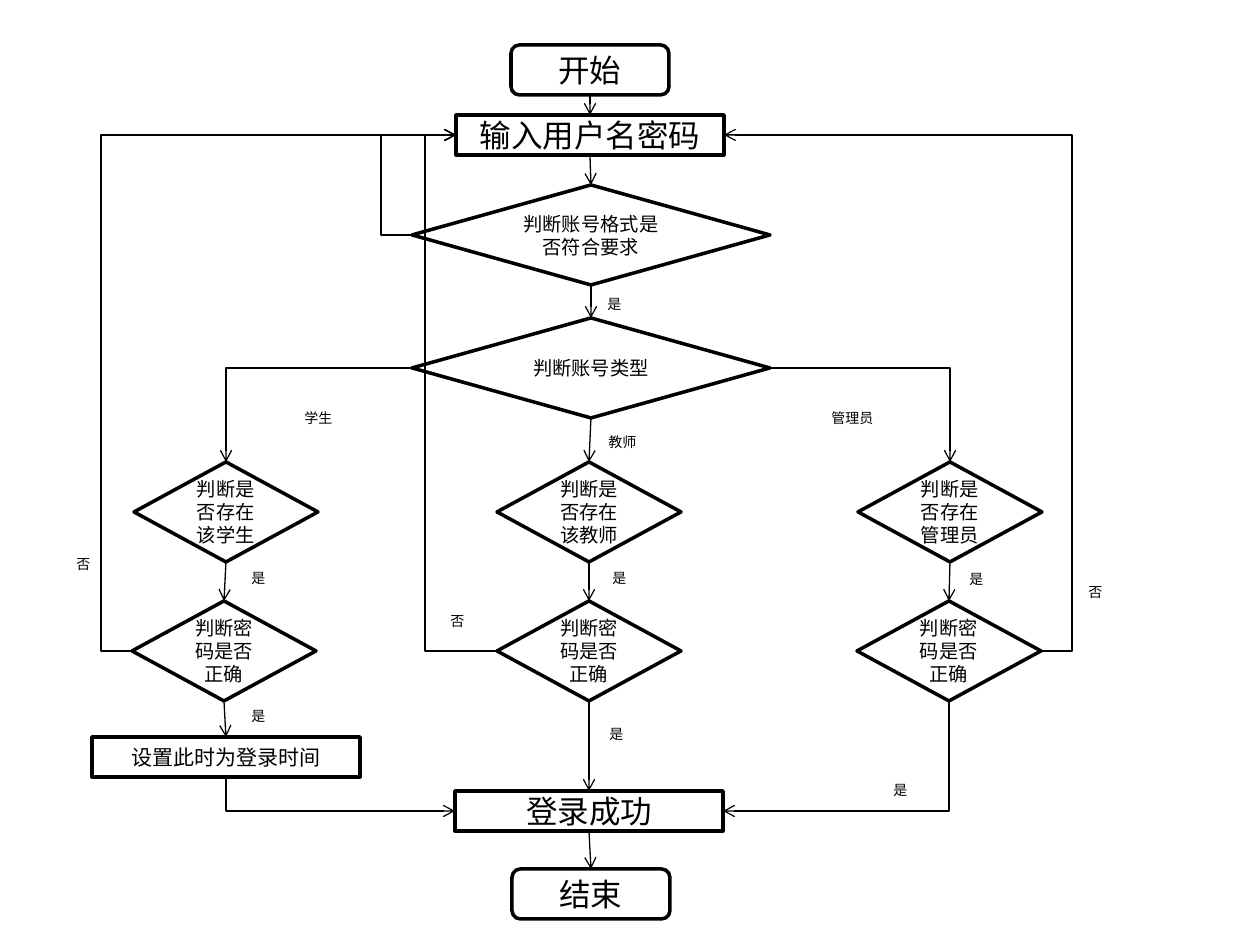
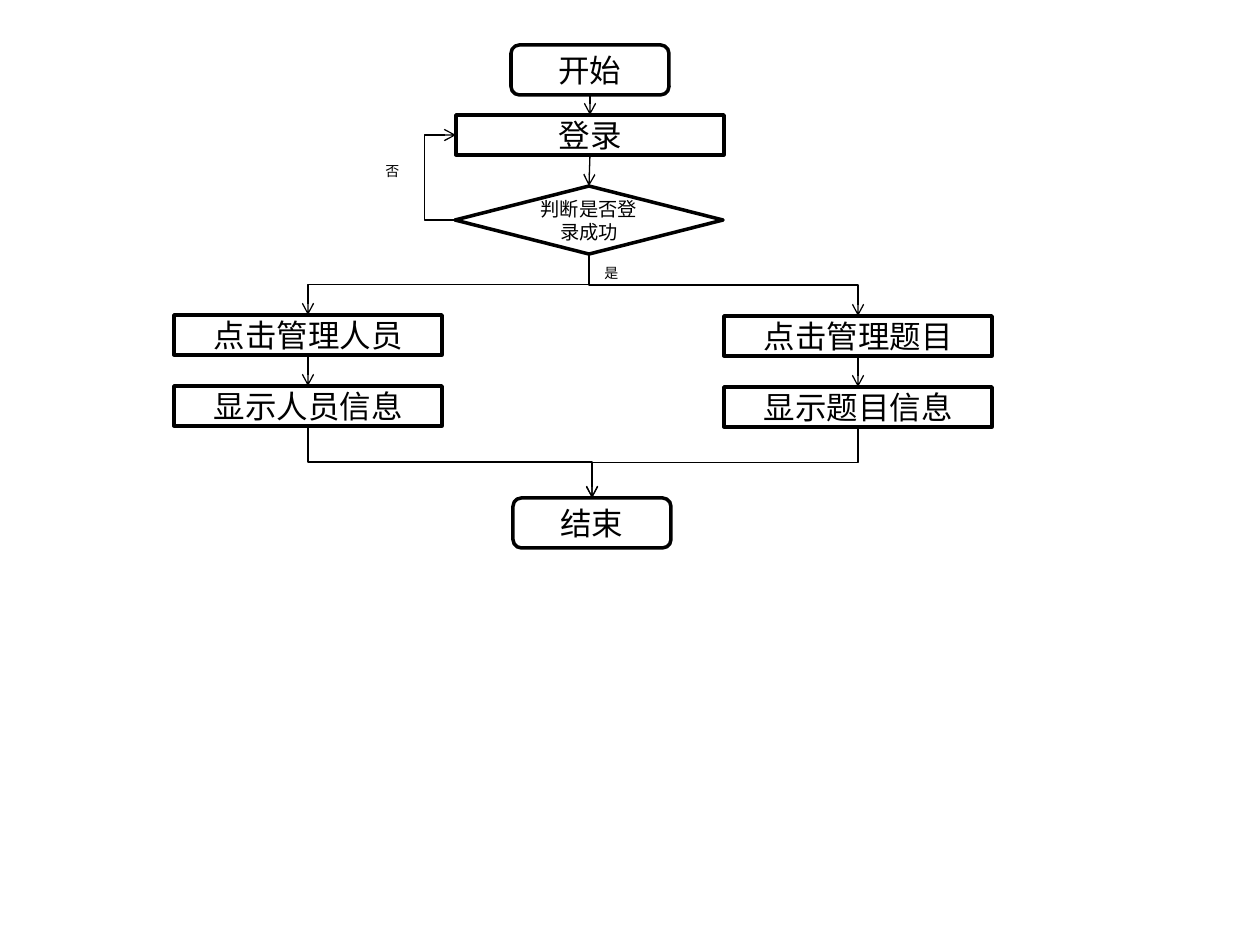
from dataclasses import dataclass
from enum import IntEnum
from lxml.etree import SubElement
from pptx import Presentation
from pptx.dml.color import RGBColor
from pptx.enum.shapes import MSO_CONNECTOR, MSO_SHAPE
from pptx.enum.text import MSO_ANCHOR, PP_ALIGN
from pptx.oxml.ns import qn
from pptx.util import Inches, Pt

SCALE = Inches(1) / 126


@dataclass(frozen=True)
class Theme:
    """Colours, font and sizes that both charts share."""
    ink: RGBColor = RGBColor(0, 0, 0)
    font: str = "Calibri"
    big: int = 18
    step: int = 12
    ask: int = 11
    tag: int = 8
    edge: float = 2
    wire: float = 0.75


class Side(IntEnum):
    """Connection sites of a node."""
    TOP = 0
    LEFT = 1
    BASE = 2
    RIGHT = 3


THEME = Theme()
ROUND = (MSO_SHAPE.ROUNDED_RECTANGLE, 158, 50, THEME.big)
BOX = (MSO_SHAPE.RECTANGLE, 268, 40, THEME.big)
NOTE = (MSO_SHAPE.RECTANGLE, 268, 40, THEME.step)
WIDE = (MSO_SHAPE.FLOWCHART_DECISION, 358, 100, THEME.ask)
FLAT = (MSO_SHAPE.FLOWCHART_DECISION, 268, 68, THEME.ask)
SMALL = (MSO_SHAPE.FLOWCHART_DECISION, 184, 100, THEME.ask)


def px(*sizes):
    """Turn pixels into a list of EMU."""
    return [round(size * SCALE) for size in sizes]


def write(shape, text, size):
    """Put styled text into a shape."""
    frame = shape.text_frame
    frame.word_wrap = True
    frame.text = text
    font = frame.paragraphs[0].runs[0].font
    font.name, font.size = THEME.font, Pt(size)
    font.color.rgb = THEME.ink
    return frame


def node(slide, kind, text, mid, top):
    """Draw an outlined node centred on mid."""
    form, wide, high, size = kind
    shape = slide.shapes.add_shape(form, *px(mid - wide / 2, top, wide, high))
    shape.shadow.inherit = False
    shape.fill.background()
    shape.line.color.rgb = THEME.ink
    shape.line.width = Pt(THEME.edge)
    frame = write(shape, text, size)
    frame.vertical_anchor = MSO_ANCHOR.MIDDLE
    frame.paragraphs[0].alignment = PP_ALIGN.CENTER
    return shape


def label(slide, text, left, top):
    """Write a branch label."""
    wide = 25 + 16 * len(text)
    write(slide.shapes.add_textbox(*px(left, top, wide, 30)), text, THEME.tag)


def join(slide, kind, start, out, end, into):
    """Glue an arrow between sites of two nodes."""
    line = slide.shapes.add_connector(kind, 0, 0, 0, 0)
    line.begin_connect(start, out)
    line.end_connect(end, into)
    line.line.color.rgb = THEME.ink
    line.line.width = Pt(THEME.wire)
    props = line._element.spPr
    SubElement(props.find(qn("a:ln")), qn("a:tailEnd"), type="arrow")
    SubElement(props, qn("a:effectLst"))
    return line


def drop(slide, *nodes):
    """Link nodes downwards with straight arrows."""
    for start, end in zip(nodes, nodes[1:]):
        join(slide, MSO_CONNECTOR.STRAIGHT, start, Side.BASE, end, Side.TOP)


def bend(slide, start, out, end, into, lane=None):
    """Link nodes with an elbow, through a lane at x if one is given."""
    line = join(slide, MSO_CONNECTOR.ELBOW, start, out, end, into)
    left, top = line.begin_x, line.begin_y
    run, fall = line.end_x - left, line.end_y - top
    props = line._element.spPr
    geom = props.find(qn("a:prstGeom"))
    if (out in (Side.LEFT, Side.RIGHT)) != (into in (Side.LEFT, Side.RIGHT)):
        geom.set("prst", "bentConnector2")
    if lane is not None:
        ratio = round((px(lane)[0] - left) / run * 100000)
        SubElement(geom[0], qn("a:gd"), name="adj1", fmla=f"val {ratio}")
    if out == Side.LEFT:
        turn, across, down = 180, run > 0, fall > 0
    elif out == Side.RIGHT:
        turn, across, down = 0, run < 0, fall < 0
    else:
        turn, across, down = (270, True, False) if run > 0 else (90, False, False)
        line.left = round(left + (run - abs(fall)) / 2)
        line.top = round(top + (fall - abs(run)) / 2)
        line.width, line.height = abs(fall), abs(run)
    frame = props.find(qn("a:xfrm"))
    frame.set("rot", str(turn * 60000))
    frame.set("flipH", str(int(across)))
    frame.set("flipV", str(int(down)))


def sign_in(slide):
    """Draw the sign-in flow."""
    first = node(slide, ROUND, "开始", 590, 45)
    entry = node(slide, BOX, "输入用户名密码", 590, 115)
    check = node(slide, WIDE, "判断账号格式是否符合要求", 591, 185)
    sort = node(slide, WIDE, "判断账号类型", 591, 318)
    roles = (("该学生", 226, 224), ("该教师", 589, 589), ("管理员", 950, 949))
    users = [node(slide, SMALL, "判断是否存在" + who, mid, 462)
             for who, mid, _ in roles]
    keys = [node(slide, SMALL, "判断密码是否正确", mid, 601)
            for _, _, mid in roles]
    stamp = node(slide, NOTE, "设置此时为登录时间", 226, 737)
    done = node(slide, BOX, "登录成功", 589, 791)
    last = node(slide, ROUND, "结束", 591, 869)

    drop(slide, first, entry, check, sort, users[1], keys[1], done, last)
    drop(slide, users[0], keys[0], stamp)
    drop(slide, users[2], keys[2])
    bend(slide, sort, Side.LEFT, users[0], Side.TOP)
    bend(slide, sort, Side.RIGHT, users[2], Side.TOP)
    for start, lane in ((keys[0], 101), (keys[1], 425), (check, 381)):
        bend(slide, start, Side.LEFT, entry, Side.LEFT, lane)
    bend(slide, keys[2], Side.RIGHT, entry, Side.RIGHT, 1072)
    bend(slide, stamp, Side.BASE, done, Side.LEFT)
    bend(slide, keys[2], Side.BASE, done, Side.RIGHT)

    for text, spots in (
        ("是", ((595, 289), (239, 563), (600, 563), (957, 564),
               (597, 719), (881, 775), (239, 701))),
        ("否", ((1076, 577), (64, 549), (438, 606))),
        ("教师", ((596, 427),)),
        ("学生", ((292, 403),)),
        ("管理员", ((819, 403),)),
    ):
        for spot in spots:
            label(slide, text, *spot)


def manage(slide):
    """Draw the management flow."""
    first = node(slide, ROUND, "开始", 590, 45)
    entry = node(slide, BOX, "登录", 590, 115)
    check = node(slide, FLAT, "判断是否登录成功", 589, 186)
    last = node(slide, ROUND, "结束", 592, 498)
    drop(slide, first, entry, check)
    bend(slide, check, Side.LEFT, entry, Side.LEFT, 424)
    for what, mid, top in (("人员", 308, 315), ("题目", 858, 316)):
        click = node(slide, BOX, "点击管理" + what, mid, top)
        show = node(slide, BOX, f"显示{what}信息", mid, top + 71)
        bend(slide, check, Side.BASE, click, Side.TOP)
        drop(slide, click, show)
        bend(slide, show, Side.BASE, last, Side.TOP)
    label(slide, "是", 592, 258)
    label(slide, "否", 373, 156)


def main():
    """Build both flow charts."""
    deck = Presentation()
    deck.slide_width, deck.slide_height = px(1260, 945)
    for draw in (sign_in, manage):
        draw(deck.slides.add_slide(deck.slide_layouts[6]))
    deck.save("out.pptx")


if __name__ == "__main__":
    main()
